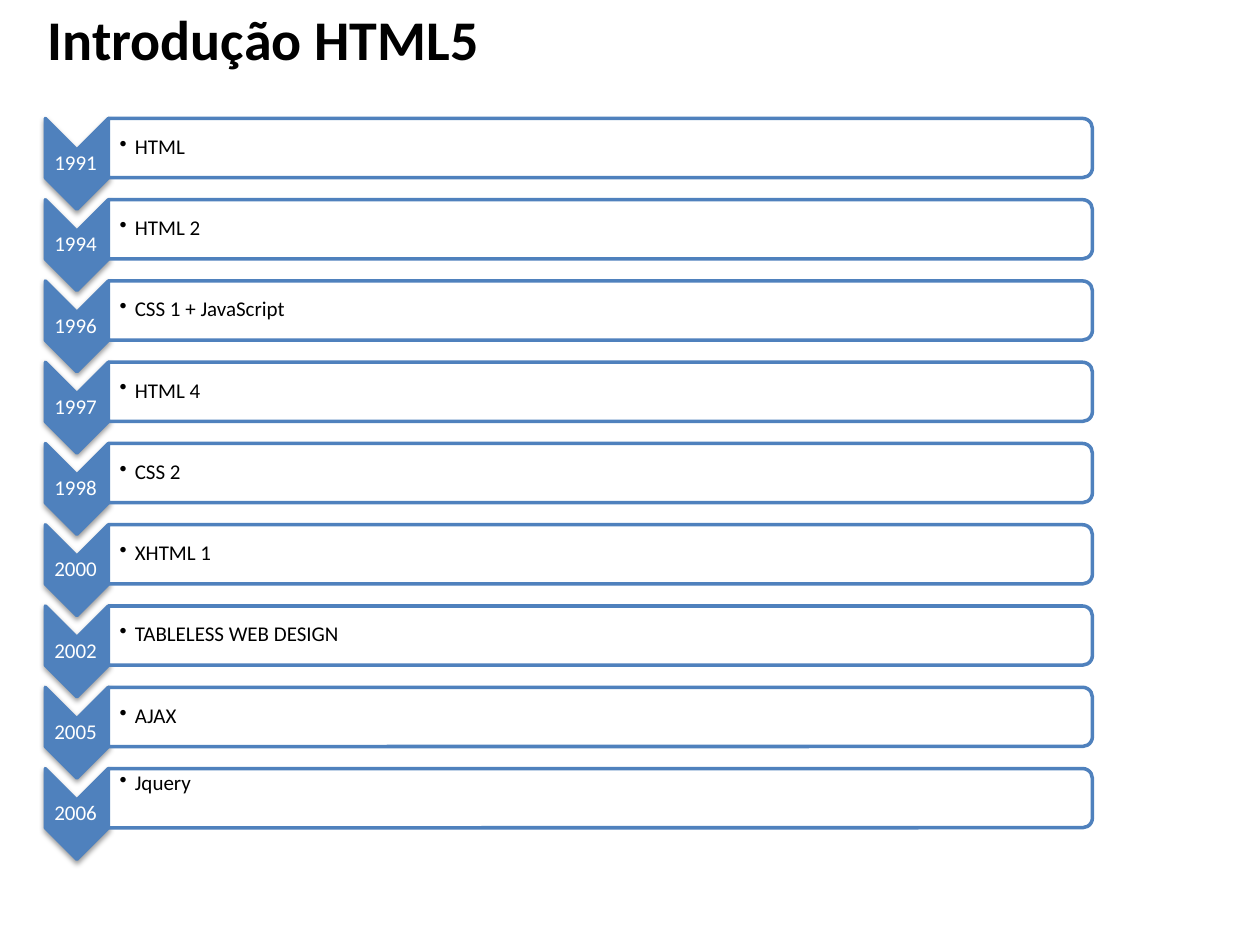
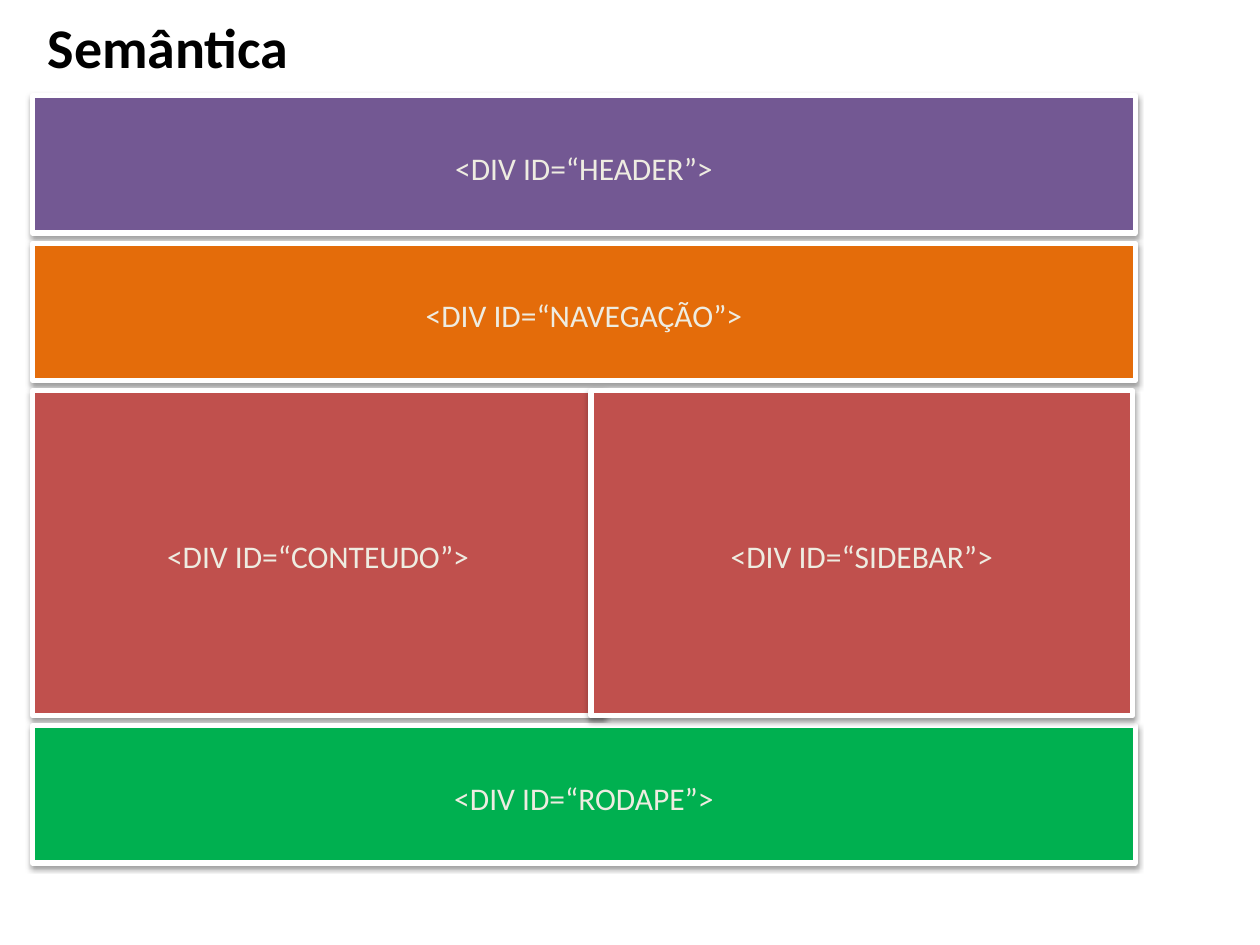
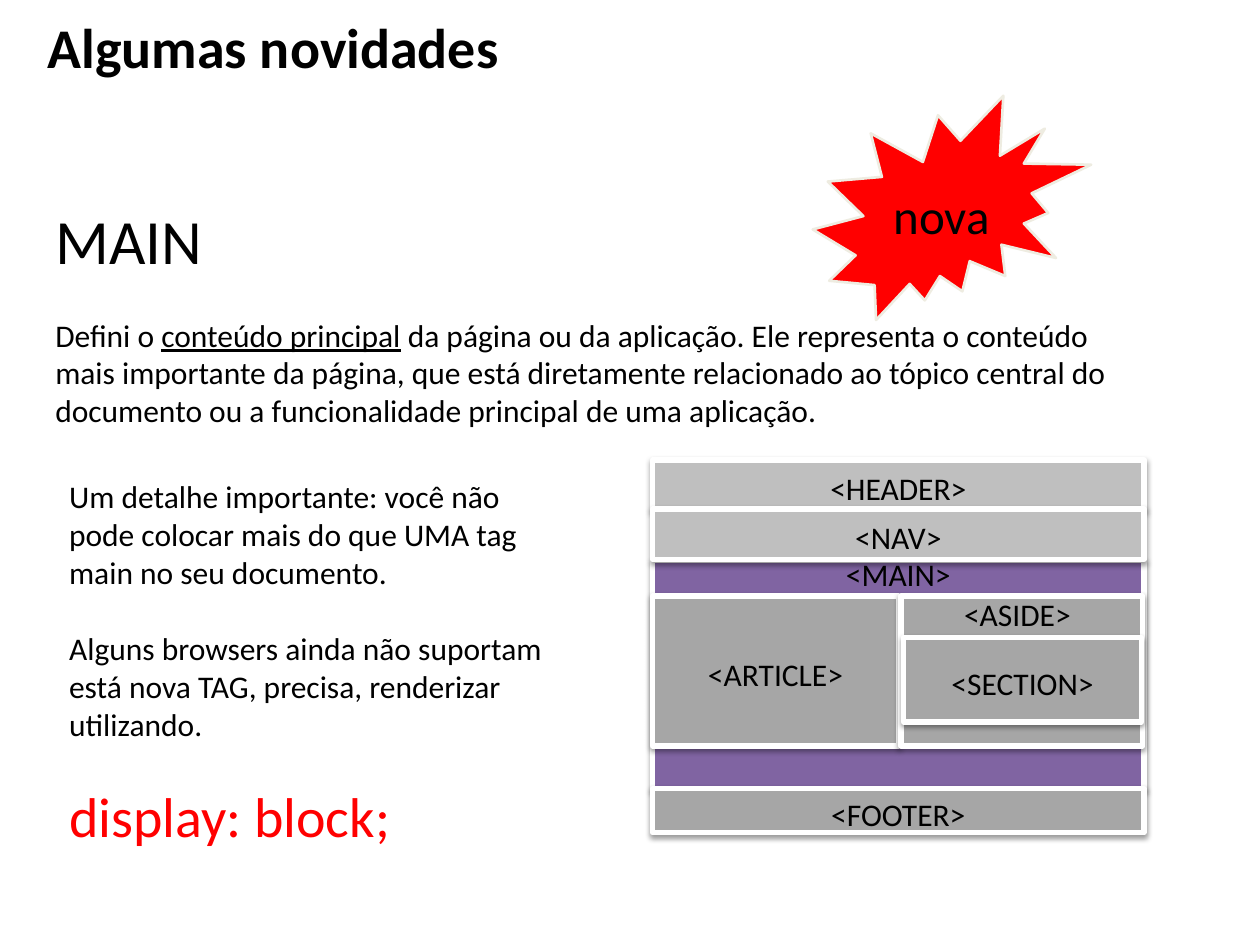
from dataclasses import dataclass

from lxml.etree import SubElement
from pptx import Presentation
from pptx.dml.color import RGBColor
from pptx.enum.shapes import MSO_SHAPE as Preset
from pptx.enum.text import MSO_ANCHOR as Anchor, PP_ALIGN as Align
from pptx.oxml.ns import qn
from pptx.util import Inches, Pt


@dataclass(frozen=True)
class Theme:
    """Colours, font and type sizes shared by the slides."""
    font: str = "Calibri"
    black: str = "000000"
    white: str = "FFFFFF"
    cream: str = "EEECE1"
    blue: str = "4F81BD"
    violet: str = "735893"
    purple: str = "8064A2"
    orange: str = "E46C0A"
    brick: str = "C0504D"
    green: str = "00B050"
    red: str = "FF0000"
    light_gray: str = "BFBFBF"
    gray: str = "A6A6A6"
    title: int = 32
    heading: int = 36
    badge: int = 28
    body: int = 18
    small: int = 12


THEME = Theme()
BLOCK_INSETS = (0.1, 0.05, 0.1, 0)
TIMELINE = [
    ("1991", "HTML"),
    ("1994", "HTML 2"),
    ("1996", "CSS 1 + JavaScript"),
    ("1997", "HTML 4"),
    ("1998", "CSS 2"),
    ("2000", "XHTML 1"),
    ("2002", "TABLELESS WEB DESIGN"),
    ("2005", "AJAX"),
    ("2006", "Jquery"),
]


def color(code):
    """Turn a hex code into a colour."""
    return RGBColor.from_string(code)


def style(paragraph, size, ink=THEME.black, bold=False, align=Align.LEFT):
    """Set the font and alignment of a whole paragraph."""
    paragraph.alignment = align
    font = paragraph.font
    font.name, font.size, font.bold = THEME.font, Pt(size), bold
    font.color.rgb = color(ink)


def set_frame(frame, insets, anchor, wrap):
    """Set the margins, anchor and wrapping of a text frame."""
    (frame.margin_left, frame.margin_top,
     frame.margin_right, frame.margin_bottom) = map(Inches, insets)
    frame.vertical_anchor, frame.word_wrap = anchor, wrap


def add_text(slide, box, paragraphs, insets=(0.1, 0.05, 0.1, 0.05),
             anchor=Anchor.TOP, wrap=True):
    """Add a text box of (text, style options) pairs and return its paragraphs."""
    frame = slide.shapes.add_textbox(*map(Inches, box)).text_frame
    set_frame(frame, insets, anchor, wrap)
    for index, (text, options) in enumerate(paragraphs):
        paragraph = frame.add_paragraph() if index else frame.paragraphs[0]
        paragraph.text = text
        style(paragraph, **options)
    return frame.paragraphs


def add_shadow(shape):
    """Give a shape a soft shadow straight below it."""
    effects = shape._element.spPr.find(qn("a:effectLst"))
    shadow = SubElement(effects, qn("a:outerShdw"), blurRad=str(Pt(3.1)),
                        dist=str(Pt(1.6)), dir="5400000", rotWithShape="0")
    tint = SubElement(shadow, qn("a:srgbClr"), val=THEME.black)
    SubElement(tint, qn("a:alpha"), val="38000")


def add_preset(slide, preset, box, fill, outline, weight, shadow=False, rotation=0):
    """Add a filled and outlined preset shape."""
    shape = slide.shapes.add_shape(preset, *map(Inches, box))
    shape.shadow.inherit = False
    shape.fill.solid()
    shape.fill.fore_color.rgb = color(fill)
    shape.line.color.rgb = color(outline)
    shape.line.width = Pt(weight)
    shape.rotation = rotation
    if shadow:
        add_shadow(shape)
    return shape


def write_center(shape, text, size, ink):
    """Write one centred line inside a shape."""
    frame = shape.text_frame
    set_frame(frame, BLOCK_INSETS, Anchor.MIDDLE, False)
    frame.text = text
    style(frame.paragraphs[0], size, ink, align=Align.CENTER)


def add_block(slide, box, fill, tag="", ink=THEME.black):
    """Add a page region with a white border and an optional tag."""
    block = add_preset(slide, Preset.RECTANGLE, box, fill, THEME.white, 3, shadow=True)
    if tag:
        write_center(block, tag, THEME.body, ink)


def add_tag(slide, box, tag):
    """Add a free tag label over a region."""
    add_text(slide, box, [(tag, dict(size=THEME.body, align=Align.CENTER))], wrap=False)


def add_bullet(paragraph):
    """Give a paragraph a hanging round bullet."""
    properties = paragraph._p.get_or_add_pPr()
    properties.set("marL", str(Inches(0.12)))
    properties.set("indent", str(-Inches(0.12)))
    bullet = properties.makeelement(qn("a:buChar"), {"char": "•"})
    properties.insert_element_before(bullet, "a:tabLst", "a:defRPr", "a:extLst")


def add_titled_slide(deck, title):
    """Add a blank slide with the shared title style."""
    slide = deck.slides.add_slide(deck.slide_layouts[6])
    paragraphs = add_text(slide, (0.28, 0.05, 8.43, 0.63),
                          [(title, dict(size=THEME.title, bold=True))])
    return slide, paragraphs[0]


def add_milestone(slide, top, year, label, anchor):
    """Add one timeline row: a chevron with the year and a labelled bar."""
    add_preset(slide, Preset.CHEVRON, (0.25, top + 0.11, 0.72, 0.5), THEME.blue,
               THEME.blue, 2, shadow=True, rotation=90)
    add_text(slide, (0.35, top + 0.25, 0.5, 0.22),
             [(year, dict(size=THEME.small, ink=THEME.white, align=Align.CENTER))],
             (0.01,) * 4, Anchor.MIDDLE)[0].line_spacing = 0.9
    add_preset(slide, Preset.ROUND_2_SAME_RECTANGLE, (4.53, top - 3.67, 0.47, 7.81),
               THEME.white, THEME.blue, 2, rotation=90)
    entry = add_text(slide, (0.86, top + 0.02, 7.78, 0.42),
                     [(label, dict(size=THEME.small))],
                     (0.09, 0.01, 0.01, 0.01), anchor)[0]
    entry.line_spacing = 0.9
    add_bullet(entry)


def build_history(deck):
    """Build the timeline of web technologies."""
    slide, title = add_titled_slide(deck, "Introdução HTML5")
    title.line_spacing = 0.9
    last = len(TIMELINE) - 1
    for row, (year, label) in enumerate(TIMELINE):
        anchor = Anchor.TOP if row == last else Anchor.MIDDLE
        add_milestone(slide, 0.94 + row * 0.645, year, label, anchor)


def build_semantics(deck):
    """Build the page layout made of div regions."""
    slide, _ = add_titled_slide(deck, "Semântica")
    left, width, height = 0.26, 8.75, 1.09
    regions = [
        ("HEADER", (left, 0.76, width, height), THEME.violet),
        ("NAVEGAÇÃO", (left, 1.93, width, height), THEME.orange),
        ("CONTEUDO", (left, 3.1, 4.53, 2.58), THEME.brick),
        ("RODAPE", (left, 5.76, width, height), THEME.green),
        ("SIDEBAR", (4.69, 3.1, 4.3, 2.58), THEME.brick),
    ]
    for name, box, fill in regions:
        add_block(slide, box, fill, f"<DIV ID=“{name}”>", THEME.cream)


def add_page_diagram(slide):
    """Draw the page regions around the main element."""
    left, width = 5.18, 3.9
    add_block(slide, (left, 4.45, width, 1.81), THEME.purple)
    add_block(slide, (left, 3.65, width, 0.39), THEME.light_gray, "<HEADER>")
    add_block(slide, (left, 4.04, width, 0.4), THEME.light_gray, "<NAV>")
    add_block(slide, (left, 4.73, 1.95, 1.19), THEME.gray, "<ARTICLE>")
    add_block(slide, (left, 6.26, width, 0.35), THEME.gray, "<FOOTER>")
    add_block(slide, (7.15, 4.73, 1.92, 1.19), THEME.gray)
    add_tag(slide, (6.6, 4.36, 1.06, 0.4), "<MAIN>")
    add_block(slide, (7.17, 5.06, 1.89, 0.67), THEME.gray, "<SECTION>")
    add_tag(slide, (7.54, 4.67, 1.07, 0.4), "<ASIDE>")


def build_news(deck):
    """Build the slide about the main element."""
    slide, _ = add_titled_slide(deck, "Algumas novidades")
    add_page_diagram(slide)
    body = dict(size=THEME.body)
    gap = Pt(22)

    _, definition = add_text(slide, (0.34, 1.55, 8.92, 2.22), [
        ("MAIN", dict(size=THEME.heading)),
        ("Defini o ", body),
    ])
    definition.space_before = gap
    key_term = definition.add_run()
    key_term.text = "conteúdo principal"
    key_term.font.underline = True
    definition.add_run().text = (
        " da página ou da aplicação. Ele representa o conteúdo mais importante da "
        "página, que está diretamente relacionado ao tópico central do documento "
        "ou a funcionalidade principal de uma aplicação.")

    _, support, rule = add_text(slide, (0.45, 3.74, 4.08, 3.06), [
        ("Um detalhe importante: você não pode colocar mais do que UMA tag main "
         "no seu documento.", body),
        ("Alguns browsers ainda não suportam está nova TAG, precisa, renderizar "
         "utilizando.", body),
        ("display: block;", dict(size=THEME.title, ink=THEME.red)),
    ])
    support.space_before = rule.space_before = gap

    badge = add_preset(slide, Preset.EXPLOSION2, (6.45, 0.76, 2.21, 1.78),
                       THEME.red, THEME.cream, 1.5)
    write_center(badge, "nova", THEME.badge, THEME.black)


def main():
    """Build and save the three slides."""
    deck = Presentation()
    deck.slide_width, deck.slide_height = Inches(10), Inches(7.5)
    build_history(deck)
    build_semantics(deck)
    build_news(deck)
    deck.save("out.pptx")


if __name__ == "__main__":
    main()
